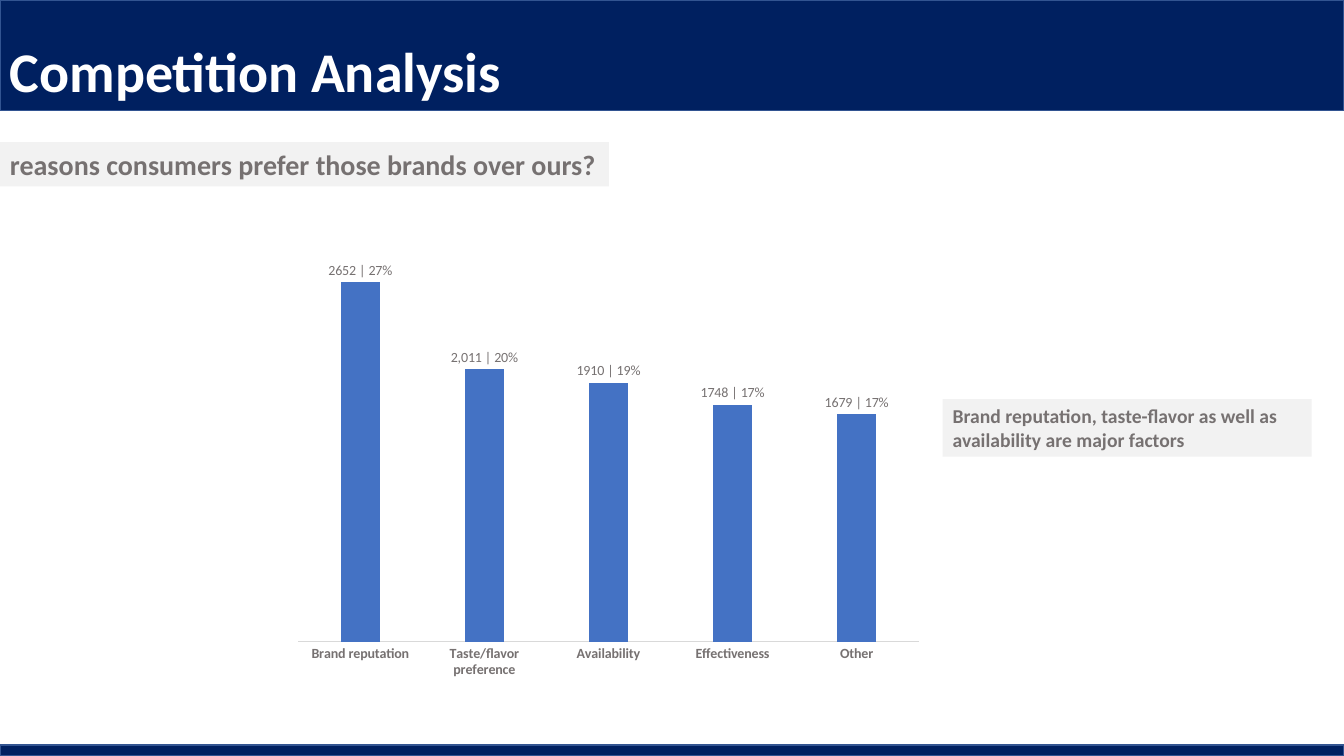
from pptx import Presentation
from pptx.chart.data import CategoryChartData
from pptx.dml.color import RGBColor
from pptx.enum.chart import XL_CHART_TYPE, XL_LABEL_POSITION, XL_TICK_MARK
from pptx.enum.shapes import MSO_SHAPE
from pptx.enum.text import MSO_ANCHOR, PP_ALIGN
from pptx.util import Inches, Pt

RECT = MSO_SHAPE.RECTANGLE
COLUMN = XL_CHART_TYPE.COLUMN_CLUSTERED
OUT_END = XL_LABEL_POSITION.OUTSIDE_END
NO_TICK = XL_TICK_MARK.NONE
LEFT, TOP = PP_ALIGN.LEFT, MSO_ANCHOR.TOP

# Content
FACE = "Calibri"
NAVY, EDGE, PALE, GRAY = "002060", "325491", "F2F2F2", "767171"
WHITE, BLACK, BLUE, RULE = "FFFFFF", "000000", "4472C4", "D9D9D9"
WIDE, HIGH = 13.33, 7.5

BANDS = [(0, 0, WIDE, 1.1), (0, 7.39, WIDE, 0.11)]
# text, box, size, font colour, fill
TEXTS = [
    ("Competition Analysis", (0, 0.31, 7.6, 0.77), 40, WHITE, None),
    ("reasons consumers prefer those brands over ours?",
     (0, 1.41, 6.04, 0.44), 20, GRAY, PALE),
    ("Brand reputation, taste-flavor as well as availability are major factors",
     (9.35, 3.96, 3.66, 0.57), 14, GRAY, PALE),
]
PLOT = (2.83, 2.24, 6.41, 4.57)
REASONS = [
    ("Brand reputation", 2652, "2652 | 27%"),
    ("Taste/flavor preference", 2011, "2,011 | 20%"),
    ("Availability", 1910, "1910 | 19%"),
    ("Effectiveness", 1748, "1748 | 17%"),
    ("Other", 1679, "1679 | 17%"),
]


def color(code):
    return RGBColor.from_string(code)


def place(box):
    return [Inches(n) for n in box]


def style(font, size, code, bold):
    font.name, font.size, font.bold = FACE, Pt(size), bold
    font.color.rgb = color(code)


def paint(shape, code):
    shape.fill.solid()
    shape.fill.fore_color.rgb = color(code)


def add_band(slide, box):
    band = slide.shapes.add_shape(RECT, *place(box))
    band.shadow.inherit = False
    paint(band, NAVY)
    band.line.color.rgb = color(EDGE)
    band.line.width = Pt(1)


def add_text(slide, text, box, size, code, fill):
    label = slide.shapes.add_textbox(*place(box))
    if fill:
        paint(label, fill)
    frame = label.text_frame
    frame.word_wrap = True
    frame.vertical_anchor = TOP
    frame.text = text
    para = frame.paragraphs[0]
    para.alignment = LEFT
    style(para.runs[0].font, size, code, True)


def add_bars(slide):
    names, values, notes = zip(*REASONS)
    data = CategoryChartData(number_format="#,##0")
    data.categories = names
    data.add_series("Series 1", values)
    chart = slide.shapes.add_chart(COLUMN, *place(PLOT), data).chart
    chart.has_legend = chart.has_title = False
    style(chart.font, 10, BLACK, False)

    # Axes
    base = chart.category_axis
    base.major_tick_mark = base.minor_tick_mark = NO_TICK
    style(base.tick_labels.font, 10, GRAY, True)
    base.format.line.color.rgb = color(RULE)
    base.format.line.width = Pt(0.75)
    scale = chart.value_axis
    scale.tick_labels.number_format = "#,##0"
    scale.has_major_gridlines = False
    scale.visible = False

    # Bars and their labels
    plot = chart.plots[0]
    plot.gap_width, plot.overlap = 219, -27
    plot.vary_by_categories = False
    bars = plot.series[0]
    paint(bars.format, BLUE)
    tags = bars.data_labels
    tags.show_value = True
    tags.number_format = "General"
    tags.number_format_is_linked = False
    tags.position = OUT_END
    style(tags.font, 10, GRAY, True)
    for i, note in enumerate(notes):
        tag = bars.points[i].data_label
        tag.text_frame.text = note
        style(tag.text_frame.paragraphs[0].runs[0].font, 10, GRAY, False)
        tag.position = OUT_END


def main():
    deck = Presentation()
    deck.slide_width, deck.slide_height = Inches(WIDE), Inches(HIGH)
    slide = deck.slides.add_slide(deck.slide_layouts[6])
    for box in BANDS:
        add_band(slide, box)
    for item in TEXTS:
        add_text(slide, *item)
    add_bars(slide)
    deck.save("out.pptx")


if __name__ == "__main__":
    main()
